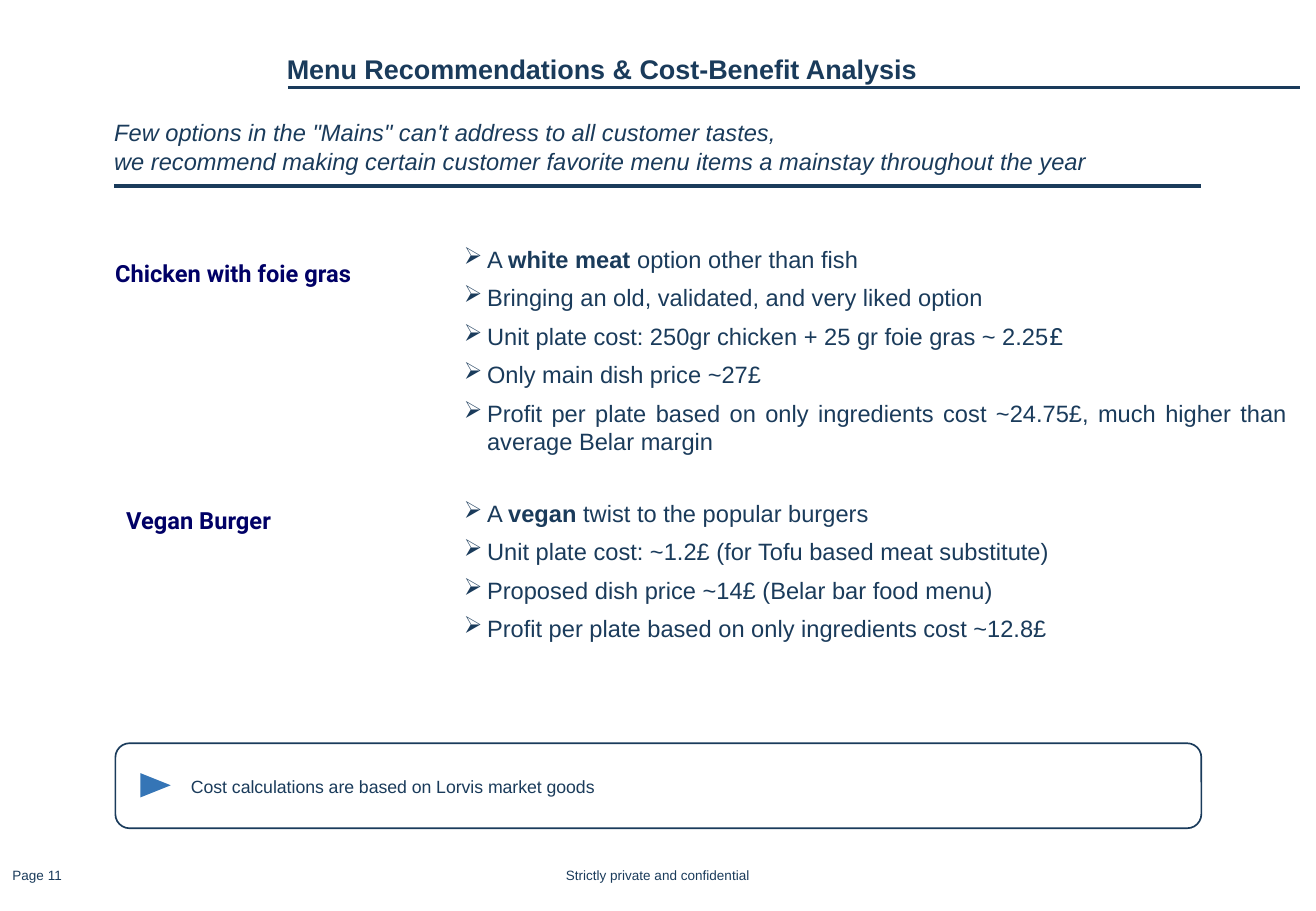
from dataclasses import dataclass

from lxml import etree
from pptx import Presentation
from pptx.dml.color import RGBColor
from pptx.enum.shapes import MSO_CONNECTOR, MSO_SHAPE
from pptx.enum.text import MSO_ANCHOR, PP_ALIGN
from pptx.oxml.ns import qn
from pptx.util import Pt

STRAIGHT = MSO_CONNECTOR.STRAIGHT
ROUNDED, TRIANGLE = MSO_SHAPE.ROUNDED_RECTANGLE, MSO_SHAPE.ISOSCELES_TRIANGLE
TOP, MIDDLE = MSO_ANCHOR.TOP, MSO_ANCHOR.MIDDLE
LEFT, CENTER, JUSTIFY = PP_ALIGN.LEFT, PP_ALIGN.CENTER, PP_ALIGN.JUSTIFY

COLORS = {"navy": "1A3B5B", "heading": "000066", "marker": "3575B6"}
BULLET_INDENT = 13.7
NOTE_INDENT = 35.3


@dataclass(frozen=True)
class Run:
    text: str
    bold: bool = False
    font: str | None = None


@dataclass(frozen=True)
class Style:
    size: float
    color: str = "navy"
    font: str = "Arial"
    bold: bool = False
    italic: bool = False
    align: PP_ALIGN = LEFT
    before: float = 0
    after: float = 0
    spacing: float = 1.0


@dataclass(frozen=True)
class Label:
    text: str
    box: tuple[float, float, float, float]
    style: Style
    anchor: MSO_ANCHOR = MIDDLE
    insets: tuple[float, float] = (7.2, 3.6)


@dataclass(frozen=True)
class Rule:
    left: float
    right: float
    top: float


@dataclass(frozen=True)
class Dish:
    heading: Label
    box: tuple[float, float, float, float]
    points: list[list[Run]]


FOOTER = Style(8, align=CENTER)
TITLE = Style(16, bold=True, after=10, spacing=1.15)
SUBTITLE = Style(14, italic=True, before=3, after=3)
HEADING = Style(14, "heading", "Roboto", bold=True, after=3)
POINT = Style(14, align=JUSTIFY, before=3, after=3)
NOTE = Style(10.5, align=JUSTIFY, spacing=1.1)

LABELS = [
    Label("Strictly private and confidential", (319, 509.8, 141.8, 17.3), FOOTER),
    Label("Page 11", (2.2, 509.8, 39.6, 17.3), FOOTER, insets=(2.9, 3.6)),
    Label("Menu Recommendations & Cost-Benefit Analysis",
          (170, 28.1, 589.7, 22.3), TITLE, insets=(0, 0)),
    Label("Few options in the \"Mains\" can't address to all customer tastes,\n"
          "we recommend making certain customer favorite menu items a mainstay "
          "throughout the year",
          (67.7, 69.1, 650.9, 35.3), SUBTITLE, insets=(0, 3.6)),
]
RULES = [Rule(170.6, 770.4, 51.8), Rule(67.7, 712, 110.2)]
DISHES = [
    Dish(
        Label("Chicken with foie gras", (61.2, 149.8, 198.7, 34.6), HEADING, TOP),
        (275, 149.8, 488.2, 115.2),
        [
            [Run("A "), Run("white meat", bold=True), Run(" option other than fish")],
            [Run("Bringing an old, validated, and very liked option")],
            [Run("Unit plate cost: 250gr chicken + 25 gr foie gras ~ 2.25"),
             Run("£", font="Roboto")],
            [Run("Only main dish price ~27£")],
            [Run("Profit per plate based on only ingredients cost ~24.75£, "
                 "much higher than average Belar margin")],
        ],
    ),
    Dish(
        Label("Vegan Burger", (67.7, 296.6, 198.7, 34.6), HEADING, TOP),
        (275, 283.7, 488.2, 108.7),
        [
            [Run("A "), Run("vegan ", bold=True), Run("twist to the popular burgers")],
            [Run("Unit plate cost: ~1.2£ (for Tofu based meat substitute)")],
            [Run("Proposed dish price ~14£ (Belar bar food menu)")],
            [Run("Profit per plate based on only ingredients cost ~12.8£")],
        ],
    ),
]


def rgb(name: str) -> RGBColor:
    return RGBColor.from_string(COLORS[name])


def style_paragraph(paragraph, style: Style) -> None:
    paragraph.alignment = style.align
    paragraph.space_before = Pt(style.before)
    paragraph.space_after = Pt(style.after)
    paragraph.line_spacing = style.spacing
    font = paragraph.font
    font.name, font.size = style.font, Pt(style.size)
    font.bold, font.italic = style.bold, style.italic
    font.color.rgb = rgb(style.color)


def indent(paragraph, left: float, first_line: float = 0) -> None:
    properties = paragraph._p.get_or_add_pPr()
    properties.set("marL", str(Pt(left)))
    properties.set("indent", str(Pt(first_line)))


def add_bullet(paragraph) -> None:
    """Give the paragraph a hanging arrow; call before its font is set."""
    indent(paragraph, BULLET_INDENT, -BULLET_INDENT)
    properties = paragraph._p.get_or_add_pPr()
    etree.SubElement(properties, qn("a:buChar")).set("char", "➢")


def add_text_frame(slide, box, anchor: MSO_ANCHOR, insets: tuple[float, float]):
    frame = slide.shapes.add_textbox(*map(Pt, box)).text_frame
    frame.word_wrap = True
    frame.vertical_anchor = anchor
    frame.margin_left = frame.margin_right = Pt(insets[0])
    frame.margin_top = frame.margin_bottom = Pt(insets[1])
    return frame


def add_label(slide, label: Label) -> None:
    frame = add_text_frame(slide, label.box, label.anchor, label.insets)
    paragraph = frame.paragraphs[0]
    paragraph.text = label.text.replace("\n", "\v")
    style_paragraph(paragraph, label.style)


def add_rule(slide, rule: Rule) -> None:
    line = slide.shapes.add_connector(
        STRAIGHT, Pt(rule.left), Pt(rule.top), Pt(rule.right), Pt(rule.top))
    line.line.color.rgb = rgb("navy")
    line.line.width = Pt(2)
    etree.SubElement(line._element.spPr, qn("a:effectLst"))


def add_dish(slide, dish: Dish) -> None:
    add_label(slide, dish.heading)
    frame = add_text_frame(slide, dish.box, MIDDLE, (0, 3.6))
    for index, point in enumerate(dish.points):
        paragraph = frame.add_paragraph() if index else frame.paragraphs[0]
        add_bullet(paragraph)
        style_paragraph(paragraph, POINT)
        for part in point:
            run = paragraph.add_run()
            run.text = part.text
            if part.bold:
                run.font.bold = True
            if part.font:
                run.font.name = part.font


def add_note(slide) -> None:
    marker = slide.shapes.add_shape(TRIANGLE, Pt(85), Pt(456.5), Pt(14.4), Pt(18))
    marker.rotation = 90
    marker.shadow.inherit = False
    marker.fill.solid()
    marker.fill.fore_color.rgb = rgb("marker")
    marker.line.fill.background()

    panel = slide.shapes.add_shape(ROUNDED, Pt(68.4), Pt(440.6), Pt(643.7), Pt(50.4))
    panel.shadow.inherit = False
    panel.fill.background()
    panel.line.color.rgb = rgb("navy")
    panel.line.width = Pt(1)
    panel.text_frame.vertical_anchor = MIDDLE
    paragraph = panel.text_frame.paragraphs[0]
    paragraph.text = "Cost calculations are based on Lorvis market goods"
    indent(paragraph, NOTE_INDENT)
    style_paragraph(paragraph, NOTE)


def main() -> None:
    presentation = Presentation()
    presentation.slide_width, presentation.slide_height = Pt(780), Pt(540)
    slide = presentation.slides.add_slide(presentation.slide_layouts[6])
    for rule in RULES:
        add_rule(slide, rule)
    for label in LABELS:
        add_label(slide, label)
    for dish in DISHES:
        add_dish(slide, dish)
    add_note(slide)
    presentation.save("out.pptx")


if __name__ == "__main__":
    main()
